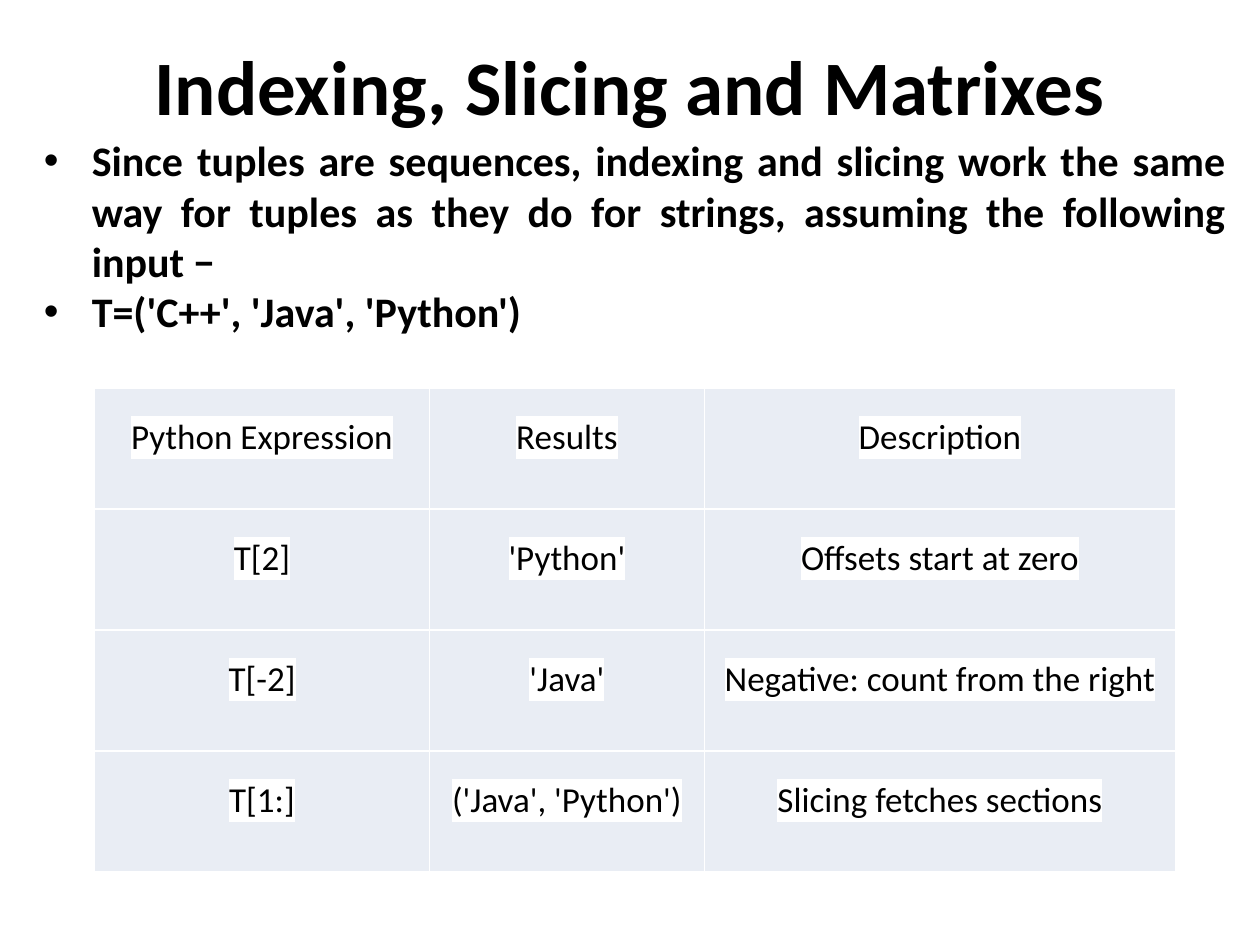
from lxml import etree
from pptx import Presentation
from pptx.dml.color import RGBColor
from pptx.enum.text import MSO_ANCHOR, MSO_AUTO_SIZE, PP_ALIGN
from pptx.oxml import parse_xml
from pptx.oxml.ns import qn
from pptx.util import Inches, Pt

CENTER, JUSTIFY = PP_ALIGN.CENTER, PP_ALIGN.JUSTIFY
MIDDLE, TOP = MSO_ANCHOR.MIDDLE, MSO_ANCHOR.TOP
GROW = MSO_AUTO_SIZE.SHAPE_TO_FIT_TEXT
BLACK = RGBColor(0x00, 0x00, 0x00)
WHITE = RGBColor(0xFF, 0xFF, 0xFF)
PALE = RGBColor(0xE9, 0xED, 0xF4)
NS = 'xmlns:a="http://schemas.openxmlformats.org/drawingml/2006/main"'


def style(r, size, bold):
    r.font.name = "Calibri"
    r.font.size = Pt(size)
    r.font.bold = bold
    r.font.color.rgb = BLACK


def add_border(cell, side, index):
    cell._tc.get_or_add_tcPr().insert(index, parse_xml(
        f'<a:{side} {NS} w="{Pt(1)}"><a:solidFill><a:srgbClr val="{WHITE}"/>'
        f'</a:solidFill></a:{side}>'))


prs = Presentation()
prs.slide_width, prs.slide_height = Inches(10), Inches(7.5)
W = prs.slide_width
s = prs.slides.add_slide(prs.slide_layouts[5])

title = s.shapes.title
title.left, title.top, title.width, title.height = 0, Inches(0.17), W, Inches(1)
tf = title.text_frame
tf.text = "Indexing, Slicing and Matrixes"
tf.vertical_anchor = MIDDLE
p = tf.paragraphs[0]
p.alignment = CENTER
style(p.runs[0], 44, True)

bullets = [
    "Since tuples are sequences, indexing and slicing work the same way "
    "for tuples as they do for strings, assuming the following input −",
    "T=('C++', 'Java', 'Python')",
]
sp = s.shapes.add_textbox(Inches(0.25), Inches(1.02), Inches(9.58), Inches(1.72))
tf = sp.text_frame
tf.word_wrap = True
tf.auto_size = GROW
tf.text = "\n".join(bullets)
for p in tf.paragraphs:
    p.alignment = JUSTIFY
    pPr = p._p.get_or_add_pPr()
    pPr.set("marL", str(Inches(0.38)))
    pPr.set("indent", str(-Inches(0.38)))
    etree.SubElement(pPr, qn("a:buFont"), typeface="Arial")
    etree.SubElement(pPr, qn("a:buChar"), char="•")
    style(p.runs[0], 24, True)

rows = [
    ("Python Expression", "Results", "Description"),
    ("T[2]", "'Python'", "Offsets start at zero"),
    ("T[-2]", "'Java'", "Negative: count from the right"),
    ("T[1:]", "('Java', 'Python')", "Slicing fetches sections"),
]
col_widths = [2.66, 2.18, 3.74]
row_height = Inches(0.96)
table = s.shapes.add_table(len(rows), len(col_widths), Inches(0.75), Inches(3.08),
                           Inches(sum(col_widths)), row_height * len(rows)).table
table.first_row = table.horz_banding = False
for column, width in zip(table.columns, col_widths):
    column.width = Inches(width)

for i, row in enumerate(rows):
    table.rows[i].height = row_height
    for j, text in enumerate(row):
        cell = table.cell(i, j)
        cell.margin_left = cell.margin_right = Inches(0.08)
        cell.margin_top = cell.margin_bottom = Inches(0.08)
        cell.vertical_anchor = TOP
        cell.fill.solid()
        cell.fill.fore_color.rgb = PALE
        for index, side in enumerate(("lnL", "lnR", "lnT", "lnB")):
            add_border(cell, side, index)
        cell.text_frame.text = text
        p = cell.text_frame.paragraphs[0]
        p.alignment = CENTER
        p.line_spacing = 1.42
        p.space_after = Pt(15)
        r = p.runs[0]
        style(r, 20, False)
        r._r.rPr.find(qn("a:solidFill")).addnext(parse_xml(
            f'<a:highlight {NS}><a:srgbClr val="{WHITE}"/></a:highlight>'))

prs.save("out.pptx")
